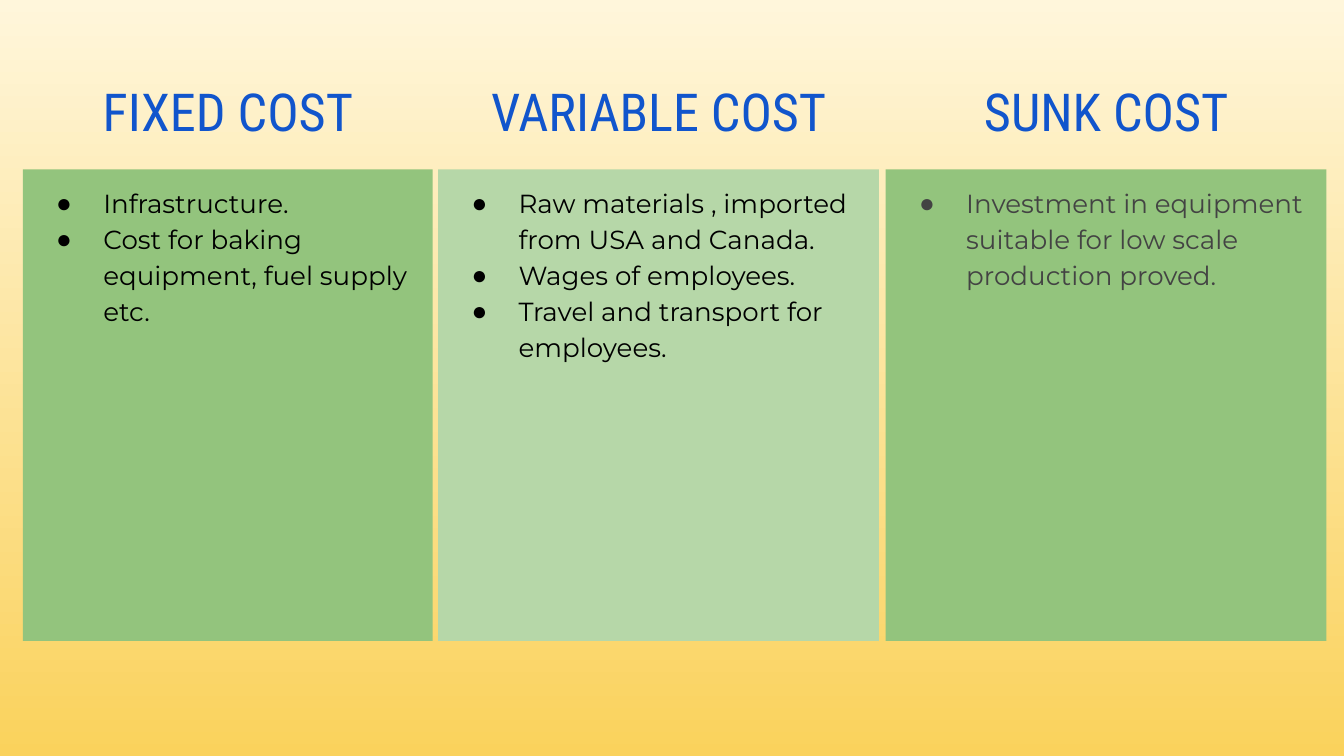
from dataclasses import dataclass

from lxml import etree
from pptx import Presentation
from pptx import util as u
from pptx.dml.color import RGBColor
from pptx.enum import shapes, text
from pptx.oxml.ns import qn

SLIDE_W = 10
SLIDE_H = SLIDE_W * 9 / 16
HEADING_TOP, HEADING_W, HEADING_H = 0.49, 3.05, 0.63
PANEL_TOP, PANEL_H = 1.26, 3.51
INSET = 0.1
BULLET_INDENT, BULLET_HANG = 0.5, 0.35


@dataclass
class Column:
    left: float
    width: float
    heading: str
    fill: str
    ink: str
    points: list[str]


COLUMNS = [
    Column(0.17, 3.05, "FIXED COST", "93C47D", "000000",
           ["Infrastructure.",
            "Cost for baking equipment, fuel supply etc."]),
    Column(3.26, 3.28, "VARIABLE COST", "B6D7A8", "000000",
           ["Raw materials , imported from USA and Canada.",
            "Wages of employees.",
            "Travel and transport for employees."]),
    Column(6.59, 3.28, "SUNK COST", "93C47D", "434343",
           ["Investment in equipment suitable for low scale production proved."]),
]


def rgb(value: str) -> RGBColor:
    return RGBColor.from_string(value)


def paint_background(s, top: str, bottom: str) -> None:
    fill = s.background.fill
    fill.gradient()
    fill.gradient_angle = 270
    for stop, colour, position in zip(fill.gradient_stops, (top, bottom), (0, 1)):
        stop.color.rgb = rgb(colour)
        stop.position = position


def prepare_frame(tf) -> None:
    tf.word_wrap = True
    tf.vertical_anchor = text.MSO_ANCHOR.TOP
    tf.margin_left = tf.margin_right = u.Inches(INSET)
    tf.margin_top = tf.margin_bottom = u.Inches(INSET)


def add_run(p, words: str, font: str, size: float, colour: str) -> None:
    r = p.add_run()
    r.text = words
    r.font.name, r.font.size = font, u.Pt(size)
    r.font.color.rgb = rgb(colour)


def add_bullet(p, colour: str) -> None:
    pPr = p._p.get_or_add_pPr()
    pPr.set("marL", str(u.Inches(BULLET_INDENT)))
    pPr.set("indent", str(-u.Inches(BULLET_HANG)))
    bullet_colour = etree.SubElement(pPr, qn("a:buClr"))
    etree.SubElement(bullet_colour, qn("a:srgbClr"), val=colour)
    etree.SubElement(pPr, qn("a:buFont"), typeface="Arial")
    etree.SubElement(pPr, qn("a:buChar"), char="●")


def draw_heading(s, col: Column) -> None:
    """Centre the heading over its column."""
    left = col.left + (col.width - HEADING_W) / 2
    sp = s.shapes.add_textbox(u.Inches(left), u.Inches(HEADING_TOP),
                              u.Inches(HEADING_W), u.Inches(HEADING_H))
    tf = sp.text_frame
    prepare_frame(tf)
    p = tf.paragraphs[0]
    p.alignment = text.PP_ALIGN.CENTER
    add_run(p, col.heading, "Roboto Condensed", 28, "1155CC")


def draw_panel(s, col: Column) -> None:
    sp = s.shapes.add_shape(shapes.MSO_SHAPE.RECTANGLE,
                            u.Inches(col.left), u.Inches(PANEL_TOP),
                            u.Inches(col.width), u.Inches(PANEL_H))
    sp.shadow.inherit = False
    sp.fill.solid()
    sp.fill.fore_color.rgb = rgb(col.fill)
    sp.line.fill.background()
    tf = sp.text_frame
    prepare_frame(tf)
    for i, point in enumerate(col.points):
        p = tf.add_paragraph() if i else tf.paragraphs[0]
        p.alignment = text.PP_ALIGN.LEFT
        p.line_spacing = 1.15
        add_bullet(p, col.ink)
        add_run(p, point, "Montserrat", 14, col.ink)


def main() -> None:
    prs = Presentation()
    prs.slide_width, prs.slide_height = u.Inches(SLIDE_W), u.Inches(SLIDE_H)
    s = prs.slides.add_slide(prs.slide_layouts[6])
    paint_background(s, "FFF6DB", "FAD25C")
    for col in COLUMNS:
        draw_heading(s, col)
        draw_panel(s, col)
    prs.save("out.pptx")


if __name__ == "__main__":
    main()
